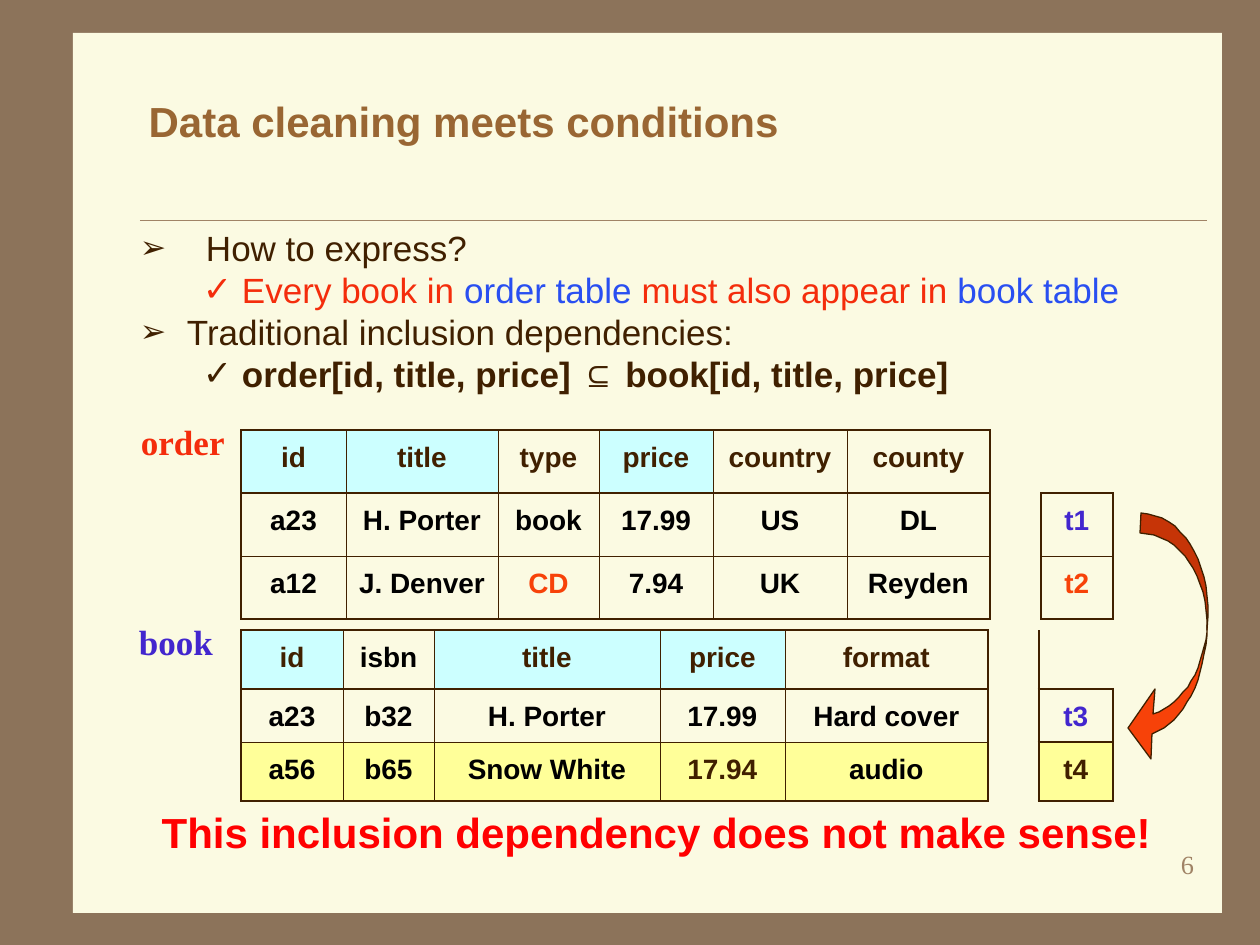
from lxml import etree
from pptx import Presentation
from pptx.dml.color import RGBColor
from pptx.enum.shapes import MSO_CONNECTOR, MSO_SHAPE
from pptx.enum.text import MSO_ANCHOR, MSO_AUTO_SIZE, PP_ALIGN
from pptx.oxml.ns import qn
from pptx.util import Pt

SCALE = 914400 / 126
PAPER, BROWN, BLACK, RED = "FBFAE2", "402000", "000000", "F42D0C"
BLUE, VIOLET, ORANGE, TAN = "294FF1", "4226CE", "F74209", "A08366"
AQUA, YELLOW = "CCFFFF", "FFFF99"
THIN, MID, THICK = 0.45, 1.08, 1.47

TITLE = "Data cleaning meets conditions"
# bullet, bullet colour, bullet size %, left margin, hanging indent, bold, runs
POINTS = [
    ("➢", BROWN, 90, 66, 66, False, [("How to express?", BROWN)]),
    ("✓", RED, 100, 102, 39, False, [
        ("Every book in ", RED), ("order table", BLUE),
        (" must also appear in ", RED), ("book table", BLUE)]),
    ("➢", BROWN, 90, 47, 47, False, [("Traditional inclusion dependencies:", BROWN)]),
    ("✓", BROWN, 100, 102, 39, True, [
        ("order[id, title, price] ⊆ book[id, title, price]", BROWN)]),
]
# The column before the last is the gap between the data and the tuple names.
ORDER = {
    "top": 430, "cols": [105, 152, 101, 114, 134, 143, 51, 72], "rows": [63, 63, 63],
    "cells": [
        ["id", "title", "type", "price", "country", "county", "", ""],
        ["a23", "H. Porter", "book", "17.99", "US", "DL", "", "t1"],
        ["a12", "J. Denver", "CD", "7.94", "UK", "Reyden", "", "t2"]],
    "fills": {(0, 0): AQUA, (0, 1): AQUA, (0, 3): AQUA},
    "inks": {(1, 7): VIOLET, (2, 2): ORANGE, (2, 7): ORANGE},
    "tag": (MID, THIN), "merge": False,
}
BOOK = {
    "top": 630, "cols": [102, 91, 226, 125, 203, 51, 74], "rows": [59, 53, 59],
    "cells": [
        ["id", "isbn", "title", "price", "format", "", ""],
        ["a23", "b32", "H. Porter", "17.99", "Hard cover", "", "t3"],
        ["a56", "b65", "Snow White", "17.94", "audio", "", "t4"]],
    "fills": {(0, 0): AQUA, (0, 2): AQUA, (0, 3): AQUA, (2, 6): YELLOW,
              **{(2, c): YELLOW for c in range(5)}},
    "inks": {(0, 1): BLACK, (1, 6): VIOLET, (2, 3): BROWN, (2, 6): BROWN},
    "tag": (THICK, THICK), "merge": True,
}
# text, box, size, font, colour, bold, alignment
LABELS = [
    ("order", (141, 420, 101, 42), 20, "Times New Roman", RED, True, PP_ALIGN.LEFT),
    ("book", (139, 620, 88, 42), 20, "Times New Roman", VIOLET, True, PP_ALIGN.LEFT),
    ("This inclusion dependency does not make sense!", (116, 802, 1081, 60),
     24, "Arial", "FF0000", True, PP_ALIGN.CENTER),
    ("6", (945, 846, 249, 36), 15, "Times New Roman", TAN, False, PP_ALIGN.RIGHT),
]
# Each part is a start point, then points (2 numbers) and Bézier curves (6 numbers).
ARROW = [
    ("C63407", [(1141, 513), (1181, 515, 1210, 560, 1208, 616), (1207, 630),
                (1209, 575, 1180, 535, 1140, 533)]),
    (ORANGE, [(1207, 625), (1206, 680, 1184, 722, 1152, 734), (1151, 759), (1128, 728),
              (1155, 689), (1153, 714), (1184, 704, 1206, 665, 1207, 625)]),
]


def px(n):
    return round(n * SCALE)


def rgb(code):
    return RGBColor.from_string(code)


def place(shape, box):
    shape.left, shape.top, shape.width, shape.height = map(px, box)


def style(run, size, color, bold, font="Arial"):
    run.font.size, run.font.bold, run.font.name = Pt(size), bold, font
    run.font.color.rgb = rgb(color)


def set_bullet(para, mark, color, size, left, hang):
    props = para._p.get_or_add_pPr()
    props.set("marL", str(px(left)))
    props.set("indent", str(-px(hang)))
    tint = etree.SubElement(props, qn("a:buClr"))
    etree.SubElement(tint, qn("a:srgbClr"), val=color)
    etree.SubElement(props, qn("a:buSzPct"), val=str(size * 1000))
    etree.SubElement(props, qn("a:buFont"), typeface="Arial")
    etree.SubElement(props, qn("a:buChar"), char=mark)


def set_edges(cell, widths):
    """Draw left, right, top and bottom borders; zero means none."""
    props = cell._tc.get_or_add_tcPr()
    for i, (side, width) in enumerate(zip("LRTB", widths)):
        line = etree.Element(qn("a:ln" + side), w=str(Pt(width)))
        if width:
            fill = etree.SubElement(line, qn("a:solidFill"))
            etree.SubElement(fill, qn("a:srgbClr"), val=BROWN)
        else:
            etree.SubElement(line, qn("a:noFill"))
        props.insert(i, line)


def edges(r, c, gap, last, tag):
    """Widths of the left, right, top and bottom borders of a cell."""
    outer, inner = tag
    if c < gap:
        return (MID if c == 0 else THIN, MID if c == gap - 1 else THIN,
                (MID, THICK, THIN)[r], (THICK, THIN, MID)[r])
    if c == gap:
        return MID, outer if r or outer == THICK else 0, 0, 0
    if r == 0:
        return outer if outer == THICK else 0, 0, 0, outer
    return outer, outer, outer if r == 1 else inner, outer if r == last else inner


def add_grid(shapes, data):
    cols, rows = data["cols"], data["rows"]
    gap, last = len(cols) - 2, len(rows) - 1
    frame = shapes.add_table(len(rows), len(cols), px(241), px(data["top"]),
                             px(sum(cols)), px(sum(rows)))
    table = frame.table
    table.first_row = table.horz_banding = False
    for c, width in enumerate(cols):
        table.columns[c].width = px(width)
    for r, height in enumerate(rows):
        table.rows[r].height = px(height)
        for c, text in enumerate(data["cells"][r]):
            cell = table.cell(r, c)
            if (r, c) in data["fills"]:
                cell.fill.solid()
                cell.fill.fore_color.rgb = rgb(data["fills"][r, c])
            else:
                cell.fill.background()
            set_edges(cell, edges(r, c, gap, last, data["tag"]))
            if text:
                para = cell.text_frame.paragraphs[0]
                para.text = text
                para.alignment, para.line_spacing = PP_ALIGN.CENTER, 1.2
                para.space_before = Pt(4)
                ink = data["inks"].get((r, c), BLACK if r else BROWN)
                style(para.runs[0], 16, ink, True)
    if data["merge"]:
        table.cell(0, gap).merge(table.cell(last, gap))


def trace(steps, parts=16):
    """Turn points and Bézier curves into a list of points."""
    points = [steps[0]]
    for step in steps[1:]:
        if len(step) == 2:
            points.append(step)
            continue
        a, b, c, d = points[-1], step[:2], step[2:4], step[4:]
        for t in (i / parts for i in range(1, parts + 1)):
            u = 1 - t
            points.append(tuple(
                u**3 * a[k] + 3 * u * u * t * b[k] + 3 * u * t * t * c[k] + t**3 * d[k]
                for k in (0, 1)))
    return points


def main():
    deck = Presentation()
    deck.slide_width, deck.slide_height = px(1260), px(945)
    slide = deck.slides.add_slide(deck.slide_layouts[1])
    shapes = slide.shapes
    title, body = shapes.title, slide.placeholders[1]
    slide.background.fill.solid()
    slide.background.fill.fore_color.rgb = rgb("8C735A")

    panel = shapes.add_shape(MSO_SHAPE.RECTANGLE, px(73), px(33), px(1149), px(880))
    panel.shadow.inherit = False
    panel.fill.solid()
    panel.fill.fore_color.rgb = rgb(PAPER)
    panel.line.fill.background()
    rule = shapes.add_connector(MSO_CONNECTOR.STRAIGHT, px(140), px(220), px(1207), px(220))
    rule.line.color.rgb, rule.line.width = rgb(TAN), Pt(0.25)
    etree.SubElement(rule._element.spPr, qn("a:effectLst"))
    for back in (panel, rule):
        title._element.addprevious(back._element)

    place(title, (136, 63, 1071, 115))
    title.text_frame.text = TITLE
    title.text_frame.vertical_anchor = MSO_ANCHOR.MIDDLE
    para = title.text_frame.paragraphs[0]
    para.alignment = PP_ALIGN.LEFT
    style(para.runs[0], 24, "996633", True)

    place(body, (126, 220, 1081, 189))
    frame = body.text_frame
    frame.auto_size = MSO_AUTO_SIZE.NONE
    frame.margin_left = frame.margin_right = px(14)
    for i, (mark, tint, size, left, hang, bold, runs) in enumerate(POINTS):
        para = frame.add_paragraph() if i else frame.paragraphs[0]
        para.space_before, para.line_spacing = Pt(0), Pt(24)
        set_bullet(para, mark, tint, size, left, hang)
        for text, color in runs:
            run = para.add_run()
            run.text = text
            style(run, 20, color, bold)

    for data in (BOOK, ORDER):
        add_grid(shapes, data)

    for text, box, size, font, color, bold, align in LABELS:
        frame = shapes.add_textbox(*map(px, box)).text_frame
        frame.word_wrap, frame.vertical_anchor = True, MSO_ANCHOR.MIDDLE
        frame.margin_left = frame.margin_right = frame.margin_top = frame.margin_bottom = 0
        frame.text = text
        frame.paragraphs[0].alignment = align
        style(frame.paragraphs[0].runs[0], size, color, bold, font)

    for color, steps in ARROW:
        start, *rest = trace(steps)
        pen = shapes.build_freeform(*start, scale=SCALE)
        pen.add_line_segments(rest, close=True)
        part = pen.convert_to_shape()
        part.shadow.inherit = False
        part.fill.solid()
        part.fill.fore_color.rgb = rgb(color)
        part.line.color.rgb, part.line.width = rgb(BROWN), Pt(0.75)

    deck.save("out.pptx")


if __name__ == "__main__":
    main()
